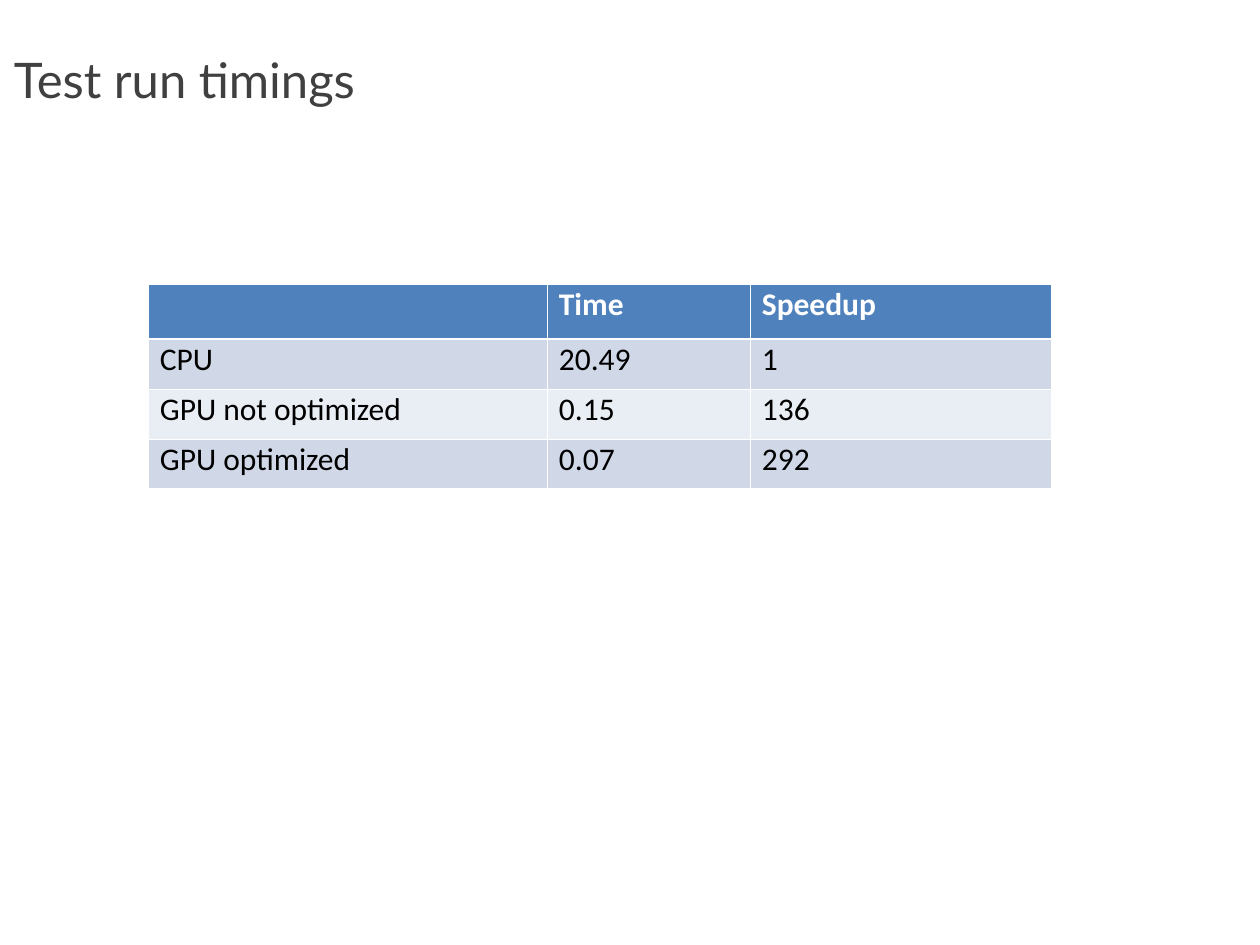
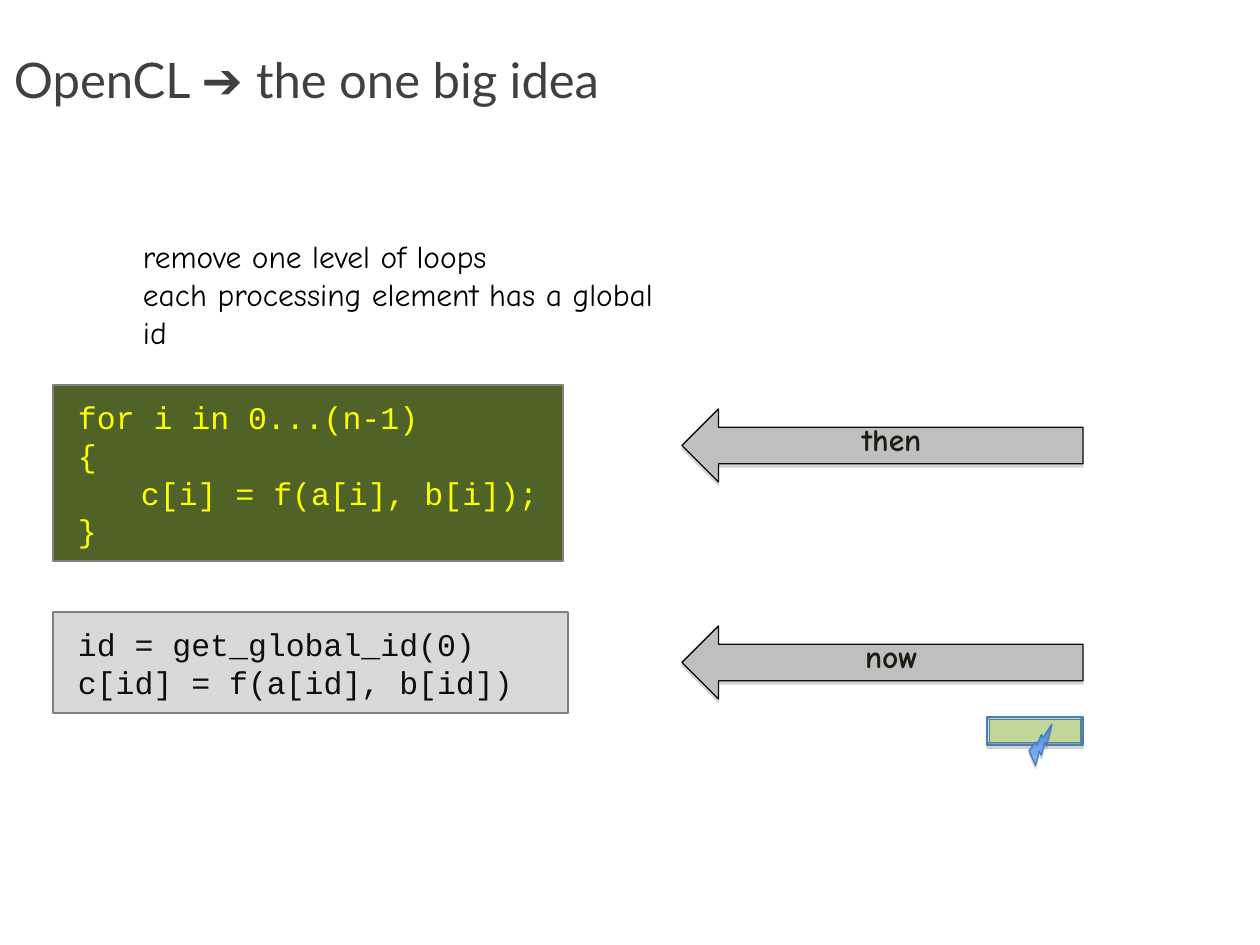
from lxml import etree
from pptx import Presentation
from pptx.dml.color import RGBColor
from pptx.enum.shapes import MSO_SHAPE
from pptx.enum.text import MSO_ANCHOR, MSO_AUTO_SIZE, PP_ALIGN
from pptx.oxml.ns import qn
from pptx.util import Emu, Pt

RECTANGLE, LEFT_ARROW = MSO_SHAPE.RECTANGLE, MSO_SHAPE.LEFT_ARROW
BEVEL, BOLT = MSO_SHAPE.BEVEL, MSO_SHAPE.LIGHTNING_BOLT
TOP, MIDDLE, BOTTOM = MSO_ANCHOR.TOP, MSO_ANCHOR.MIDDLE, MSO_ANCHOR.BOTTOM
LEFT, CENTER = PP_ALIGN.LEFT, PP_ALIGN.CENTER
GROW = MSO_AUTO_SIZE.SHAPE_TO_FIT_TEXT

PX_PER_INCH = 126
TAB_STEP = 63
SLIDE_SIZE = (1260, 945)
TITLE_BOX = (1, 0, 1259, 158)
TITLE_FONT, TABLE_FONT, NOTE_FONT, CODE_FONT = "Lato", "Calibri", "Comic Neue", "Courier New"
COLORS = {
    "title": "404040", "text": "000000", "white": "FFFFFF",
    "header": "4F81BD", "band_dark": "D0D8E8", "band_light": "E9EDF4",
    "loop_fill": "4F6228", "loop_text": "FFFF00", "code_line": "7F7F7F",
    "kernel_fill": "D9D9D9", "ink": "0D0D0D",
    "arrow_fill": "BFBFBF", "arrow_text": "1E1C11", "shadow": "808080",
    "chip_fill": "C3D69B", "chip_line": "4A7EBB",
    "bolt_start": "9BC1FF", "bolt_end": "3F80CD",
}


def px(length):
    return Emu(round(length * 914400 / PX_PER_INCH))


def color(name):
    return RGBColor.from_string(COLORS[name])


def add_span(para, text, font, size, tint, bold=False):
    span = para.add_run()
    span.text = text
    span.font.name, span.font.size, span.font.bold = font, Pt(size), bold
    span.font.color.rgb = color(tint)


def set_frame(frame, anchor=TOP, inset=(13, 6), wrap=True, grow=False):
    frame.word_wrap = wrap
    frame.vertical_anchor = anchor
    frame.margin_left = frame.margin_right = px(inset[0])
    frame.margin_top = frame.margin_bottom = px(inset[1])
    if grow:
        frame.auto_size = GROW


def add_tab_stop(para, position):
    tabs = etree.SubElement(para._p.get_or_add_pPr(), qn("a:tabLst"))
    etree.SubElement(tabs, qn("a:tab"), pos=str(px(position)), algn="l")


def add_lines(frame, lines, font, tint, align=LEFT, bold=False):
    for index, line in enumerate(lines):
        para = frame.add_paragraph() if index else frame.paragraphs[0]
        para.alignment = align
        if line.startswith("\t"):
            add_tab_stop(para, TAB_STEP)
        add_span(para, line, font, 18, tint, bold)


def add_outlined(page, kind, box, fill, line):
    shape = page.shapes.add_shape(kind, *map(px, box))
    shape.shadow.inherit = False
    if fill:
        shape.fill.solid()
        shape.fill.fore_color.rgb = color(fill)
    shape.line.color.rgb = color(line)
    shape.line.width = Pt(0.75)
    return shape


def drop_shadow(shape):
    effects = shape._element.spPr.find(qn("a:effectLst"))
    outer = etree.SubElement(effects, qn("a:outerShdw"), blurRad="0",
                             dist=str(Pt(1.8)), dir="5400000", rotWithShape="0")
    tint = etree.SubElement(outer, qn("a:srgbClr"), val=COLORS["shadow"])
    etree.SubElement(tint, qn("a:alpha"), val="35000")


def add_title(page, spans):
    frame = page.shapes.add_textbox(*map(px, TITLE_BOX)).text_frame
    set_frame(frame, MIDDLE)
    for text, font in spans:
        add_span(frame.paragraphs[0], text, font, 28, "title")


def set_borders(cell, top, bottom):
    properties = cell._tc.get_or_add_tcPr()
    for side, width in (("L", 0.23), ("R", 0.23), ("T", top), ("B", bottom)):
        line = etree.SubElement(properties, qn(f"a:ln{side}"), w=str(Pt(width)))
        fill = etree.SubElement(line, qn("a:solidFill"))
        etree.SubElement(fill, qn("a:srgbClr"), val=COLORS["white"])


def add_timing_table(page, left, top):
    rows = [("", "Time", "Speedup"), ("CPU", "20.49", "1"),
            ("GPU not optimized", "0.15", "136"), ("GPU optimized", "0.07", "292")]
    widths, heights = (399, 203, 301), (55, 50, 50, 49)
    table = page.shapes.add_table(len(rows), len(widths), px(left), px(top),
                                  px(sum(widths)), px(sum(heights))).table
    for column, width in zip(table.columns, widths):
        column.width = px(width)
    for index, (values, height) in enumerate(zip(rows, heights)):
        table.rows[index].height = px(height)
        is_header = index == 0
        band = "header" if is_header else "band_dark" if index % 2 else "band_light"
        for cell, value in zip(table.rows[index].cells, values):
            set_borders(cell, 0.75 if index == 1 else 0.23, 0.75 if is_header else 0.23)
            cell.fill.solid()
            cell.fill.fore_color.rgb = color(band)
            cell.margin_left = cell.margin_right = px(12)
            cell.margin_top = cell.margin_bottom = px(6)
            para = cell.text_frame.paragraphs[0]
            para.line_spacing = 0.83
            if value:
                add_span(para, value, TABLE_FONT, 18, "white" if is_header else "text", is_header)


def add_summary(page, box):
    frame = page.shapes.add_textbox(*map(px, box)).text_frame
    set_frame(frame, wrap=False, grow=True)
    add_lines(frame, ["remove one level of loops",
                      "each processing element has a global id"], NOTE_FONT, "text")


def add_code(page, box, lines, fill, tint, wrap):
    shape = add_outlined(page, RECTANGLE, box, fill, "code_line")
    set_frame(shape.text_frame, inset=(25, 13), wrap=wrap, grow=True)
    add_lines(shape.text_frame, lines, CODE_FONT, tint)


def add_arrow(page, left, top, label):
    arrow = add_outlined(page, LEFT_ARROW, (left, top, 401, 73), "arrow_fill", "ink")
    drop_shadow(arrow)
    set_frame(arrow.text_frame, BOTTOM)
    add_lines(arrow.text_frame, [label], NOTE_FONT, "arrow_text", CENTER, bold=True)


def add_chip(page, left, top):
    """Draw the bevelled processing element with its lightning bolt."""
    chip = add_outlined(page, BEVEL, (left, top, 96, 28), "chip_fill", "chip_line")
    chip.adjustments[0] = 0.08
    bolt = add_outlined(page, BOLT, (left + 35, top + 15, 39, 26), None, "chip_line")
    bolt.rotation = 263
    bolt.fill.gradient()
    bolt.fill.gradient_angle = 6
    for stop, tint in zip(bolt.fill.gradient_stops, ("bolt_start", "bolt_end")):
        stop.color.rgb = color(tint)
    for index, stop in enumerate(bolt.fill.gradient_stops):
        stop.position = index
    for shape in (chip, bolt):
        drop_shadow(shape)


def build_timings(page):
    add_title(page, [("Test run timings", TITLE_FONT)])
    add_timing_table(page, 148, 284)


def build_big_idea(page):
    add_title(page, [("OpenCL ", TITLE_FONT), ("➔ ", "Arial"),
                     ("the one big idea", TITLE_FONT)])
    add_summary(page, (130, 231, 570, 88))
    add_code(page, (53, 385, 510, 176),
             ["for i in 0...(n-1)", "{", "\tc[i] = f(a[i], b[i]);", "}"],
             "loop_fill", "loop_text", wrap=False)
    add_code(page, (53, 612, 515, 101),
             ["id = get_global_id(0)", "c[id] = f(a[id], b[id])"],
             "kernel_fill", "ink", wrap=True)
    for top, label in ((409, "then"), (626, "now")):
        add_arrow(page, 682, top, label)
    add_chip(page, 987, 717)


def main():
    deck = Presentation()
    deck.slide_width, deck.slide_height = map(px, SLIDE_SIZE)
    for build in (build_timings, build_big_idea):
        build(deck.slides.add_slide(deck.slide_layouts[6]))
    deck.save("out.pptx")


if __name__ == "__main__":
    main()
